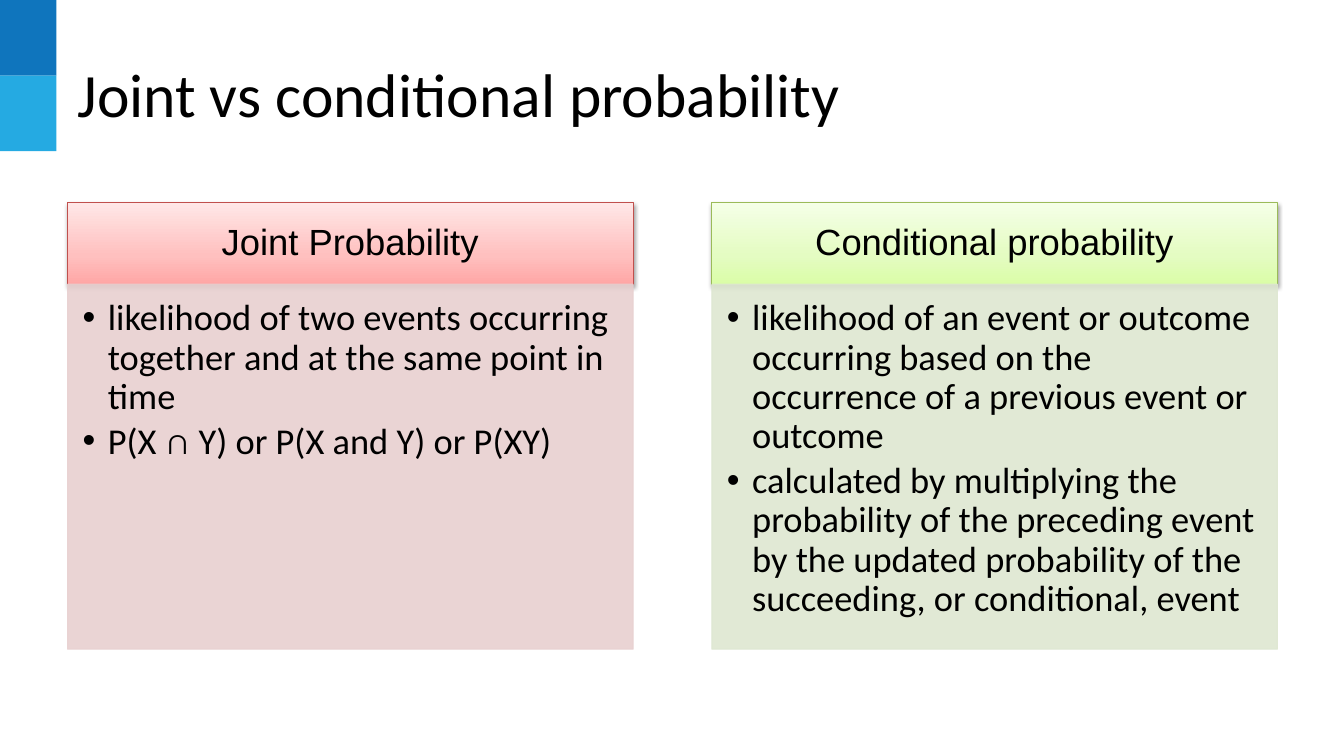
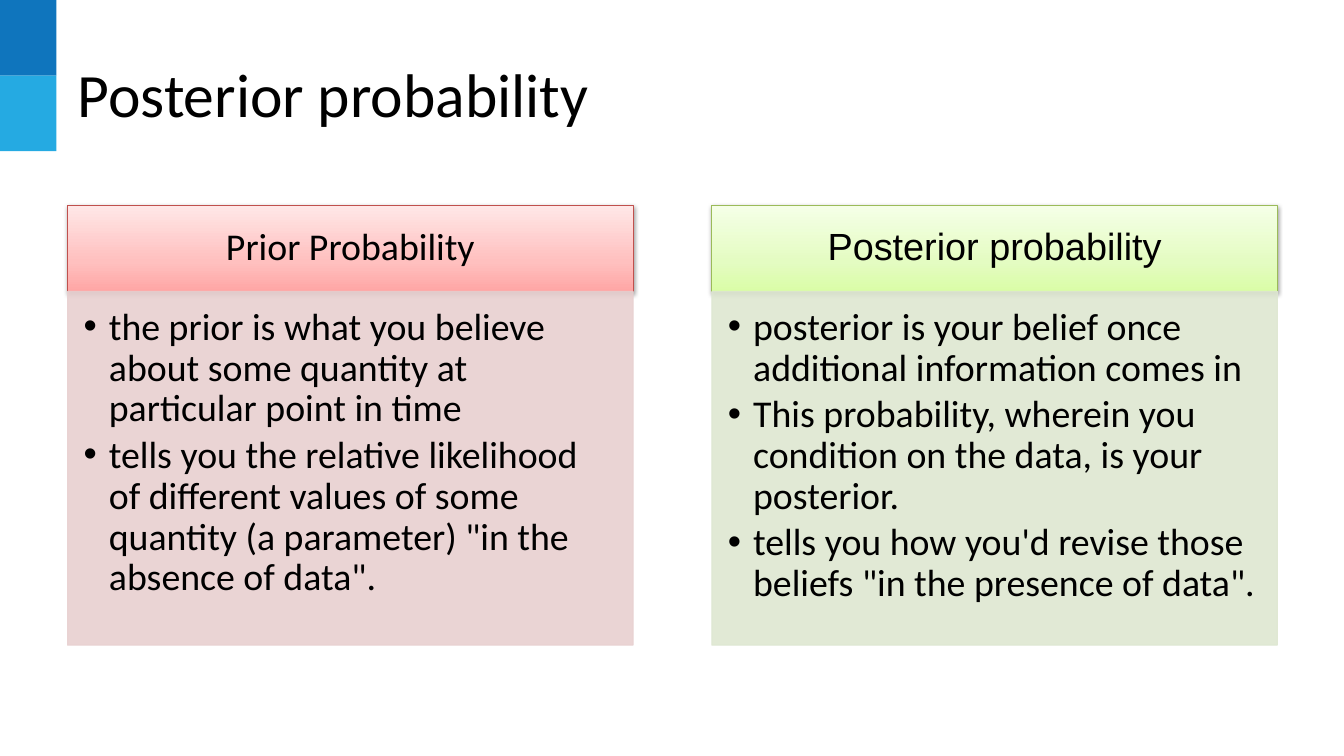
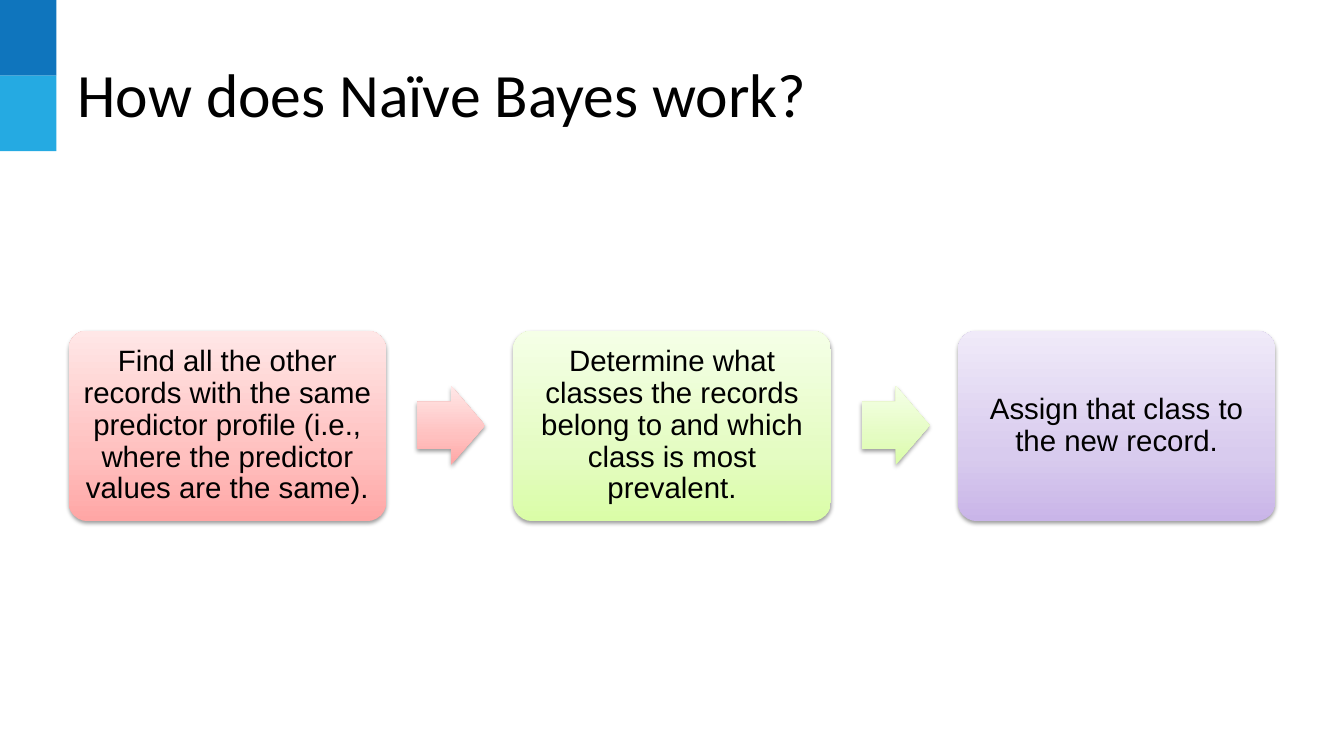
"""Builds three slides on joint, conditional and posterior probability and Naïve Bayes."""
from lxml.etree import SubElement
from pptx import Presentation
from pptx.dml.color import RGBColor
from pptx.enum.shapes import MSO_SHAPE as Shape
from pptx.enum.text import MSO_ANCHOR as Anchor, PP_ALIGN as Align
from pptx.oxml.ns import qn
from pptx.util import Pt

SCALE = 9144
BLACK = RGBColor(0x00, 0x00, 0x00)
DARK_BLUE = RGBColor(0x0F, 0x75, 0xBD)
LIGHT_BLUE = RGBColor(0x25, 0xAA, 0xE2)
RED_LINE = RGBColor(0xC0, 0x50, 0x4D)
GREEN_LINE = RGBColor(0x9B, 0xBB, 0x59)
RED_PALE = RGBColor(0xE8, 0xD0, 0xD0)
GREEN_PALE = RGBColor(0xDE, 0xE7, 0xD1)
RED_FADE = (RGBColor(0xFF, 0xA6, 0xA5), RGBColor(0xFF, 0xC0, 0xBF), RGBColor(0xFF, 0xE7, 0xE7))
GREEN_FADE = (RGBColor(0xDA, 0xFD, 0xA7), RGBColor(0xE4, 0xFC, 0xC2), RGBColor(0xF5, 0xFF, 0xE7))
PURPLE_FADE = (RGBColor(0xC9, 0xB5, 0xE8), RGBColor(0xD8, 0xCB, 0xEE), RGBColor(0xF0, 0xEA, 0xF9))
COLUMN_COLORS = ((RED_FADE, RED_LINE, RED_PALE), (GREEN_FADE, GREEN_LINE, GREEN_PALE))

COMPARISONS = (
    {
        "title": "Joint vs conditional probability",
        "layout": {"top": 201, "head": 81, "body": 362, "size": 26},
        "columns": (
            ("Joint Probability", "Arial", (
                "likelihood of two events occurring together and at the same point in time",
                "P(X ∩ Y) or P(X and Y) or P(XY)")),
            ("Conditional probability", "Arial", (
                "likelihood of an event or outcome occurring based on the occurrence "
                "of a previous event or outcome",
                "calculated by multiplying the probability of the preceding event by the "
                "updated probability of the succeeding, or conditional, event")),
        ),
    },
    {
        "title": "Posterior probability",
        "layout": {"top": 204, "head": 85, "body": 351, "size": 27},
        "columns": (
            ("Prior Probability", "Calibri", (
                "the prior is what you believe about some quantity at particular point in time",
                "tells you the relative likelihood of different values of some quantity "
                '(a parameter) "in the absence of data".')),
            ("Posterior probability", "Arial", (
                "posterior is your belief once additional information comes in",
                "This probability, wherein you condition on the data, is your posterior.",
                'tells you how you\'d revise those beliefs "in the presence of data".')),
        ),
    },
)
STEPS = (
    ("Find all the other records with the same predictor profile "
     "(i.e., where the predictor values are the same).", RED_FADE),
    ("Determine what classes the records belong to and which class is most prevalent.", GREEN_FADE),
    ("Assign that class to the new record.", PURPLE_FADE),
)


def px(*lengths):
    """Turn px lengths into EMU."""
    return [length * SCALE for length in lengths]


def set_values(target, values):
    """Set every attribute named in values on the target."""
    for name, value in values.items():
        setattr(target, name, value)


class Deck:
    """Holds the shared style and the current slide."""

    def __init__(self):
        """Start an empty wide deck."""
        self.deck = Presentation()
        self.deck.slide_width, self.deck.slide_height = px(1333, 750)
        self.page = None

    def new_page(self, title):
        """Add a slide with the side bands and a title."""
        self.page = self.deck.slides.add_slide(self.deck.slide_layouts[6])
        for row, color in enumerate((DARK_BLUE, LIGHT_BLUE)):
            self.solid((0, 75 * row, 56, 75), color)
        box = self.page.shapes.add_textbox(*px(67, 30, 1200, 125))
        self.add_text(box, [title], "Calibri", 44, (10, 5, 10, 5), Anchor.MIDDLE, Align.LEFT, 1.0)

    def shape(self, place, kind=Shape.RECTANGLE, line=None):
        """Add a preset shape without shadow, outlined only if a line colour is given."""
        shape = self.page.shapes.add_shape(kind, *px(*place))
        shape.shadow.inherit = False
        if line is None:
            shape.line.fill.background()
        else:
            shape.line.color.rgb = line
            shape.line.width = Pt(0.75)
        return shape

    def solid(self, place, color, line=None, opacity=100):
        """Add a rectangle of one colour, with fill and line at the same opacity."""
        box = self.shape(place, line=line)
        box.fill.solid()
        box.fill.fore_color.rgb = color
        if opacity < 100:
            for tone in box._element.spPr.iter(qn("a:srgbClr")):
                SubElement(tone, qn("a:alpha"), val=str(opacity * 1000))
        return box

    def faded(self, place, fade, kind=Shape.RECTANGLE, line=None):
        """Add a shape with a three-stop upward gradient and a soft shadow."""
        shape = self.shape(place, kind, line)
        shape.fill.gradient()
        shape.fill.gradient_angle = 90
        properties = shape._element.spPr
        stops = properties.find(".//" + qn("a:gsLst"))
        for stop in list(stops):
            stops.remove(stop)
        for position, color in zip((0, 35, 100), fade):
            stop = SubElement(stops, qn("a:gs"), pos=str(position * 1000))
            SubElement(stop, qn("a:srgbClr"), val=str(color))
        shadow = SubElement(properties.find(qn("a:effectLst")), qn("a:outerShdw"),
                            blurRad="40000", dist="20000", dir="5400000", rotWithShape="0")
        tone = SubElement(shadow, qn("a:srgbClr"), val=str(BLACK))
        SubElement(tone, qn("a:alpha"), val="38000")
        return shape

    def add_text(self, box, lines, font, size, margins, anchor=Anchor.MIDDLE,
                 align=Align.CENTER, spacing=0.9, bullets=False):
        """Fill a box with paragraphs of one style."""
        frame = box.text_frame
        left, top, right, bottom = px(*margins)
        set_values(frame, {"word_wrap": True, "vertical_anchor": anchor, "margin_left": left,
                           "margin_top": top, "margin_right": right, "margin_bottom": bottom})
        for index, line in enumerate(lines):
            para = frame.add_paragraph() if index else frame.paragraphs[0]
            set_values(para, {"alignment": align, "line_spacing": spacing})
            if bullets:
                self.bullet(para)
            span = para.add_run()
            span.text = line
            set_values(span.font, {"name": font, "size": Pt(size)})
            span.font.color.rgb = BLACK

    def bullet(self, para):
        """Give a paragraph a hanging round bullet."""
        para.space_after = Pt(4)
        properties = para._p.get_or_add_pPr()
        indent, = px(25)
        properties.set("marL", str(indent))
        properties.set("indent", str(-indent))
        SubElement(properties, qn("a:buFont"), typeface="Arial")
        SubElement(properties, qn("a:buChar"), char="•")

    def column(self, left, layout, content, colors):
        """Add a headed panel with a bulleted list."""
        top, head, body, size = (layout[key] for key in ("top", "head", "body", "size"))
        heading, font, points = content
        fade, line, pale = colors
        side = size - 6
        header = self.faded((left, top, 561, head), fade, line=line)
        self.add_text(header, [heading], font, size, (side, 12, side, 12))
        panel = self.solid((left, top + head, 561, body), pale, pale, 90)
        self.add_text(panel, points, "Calibri", size, (size - 11, size - 11, side, size - 3),
                      Anchor.TOP, Align.LEFT, bullets=True)

    def comparison(self, title, layout, columns):
        """Add a slide with two panels side by side."""
        self.new_page(title)
        for index, (content, colors) in enumerate(zip(columns, COLUMN_COLORS)):
            self.column(67 + 639 * index, layout, content, colors)

    def process(self, title, steps):
        """Add a slide with a row of steps joined by block arrows."""
        self.new_page(title)
        for index, (text, fade) in enumerate(steps):
            left = 68 + 441 * index
            box = self.faded((left, 328, 315, 189), fade, Shape.ROUNDED_RECTANGLE)
            box.adjustments[0] = 0.1
            self.add_text(box, [text], "Arial", 21, (9, 9, 9, 9))
            if index < len(steps) - 1:
                arrow = self.faded((left + 346, 383, 67, 78), fade, Shape.RIGHT_ARROW)
                arrow.adjustments[0] = 0.6


def main():
    """Build and save the deck."""
    builder = Deck()
    for comparison in COMPARISONS:
        builder.comparison(**comparison)
    builder.process("How does Naïve Bayes work?", STEPS)
    builder.deck.save("out.pptx")


if __name__ == "__main__":
    main()
